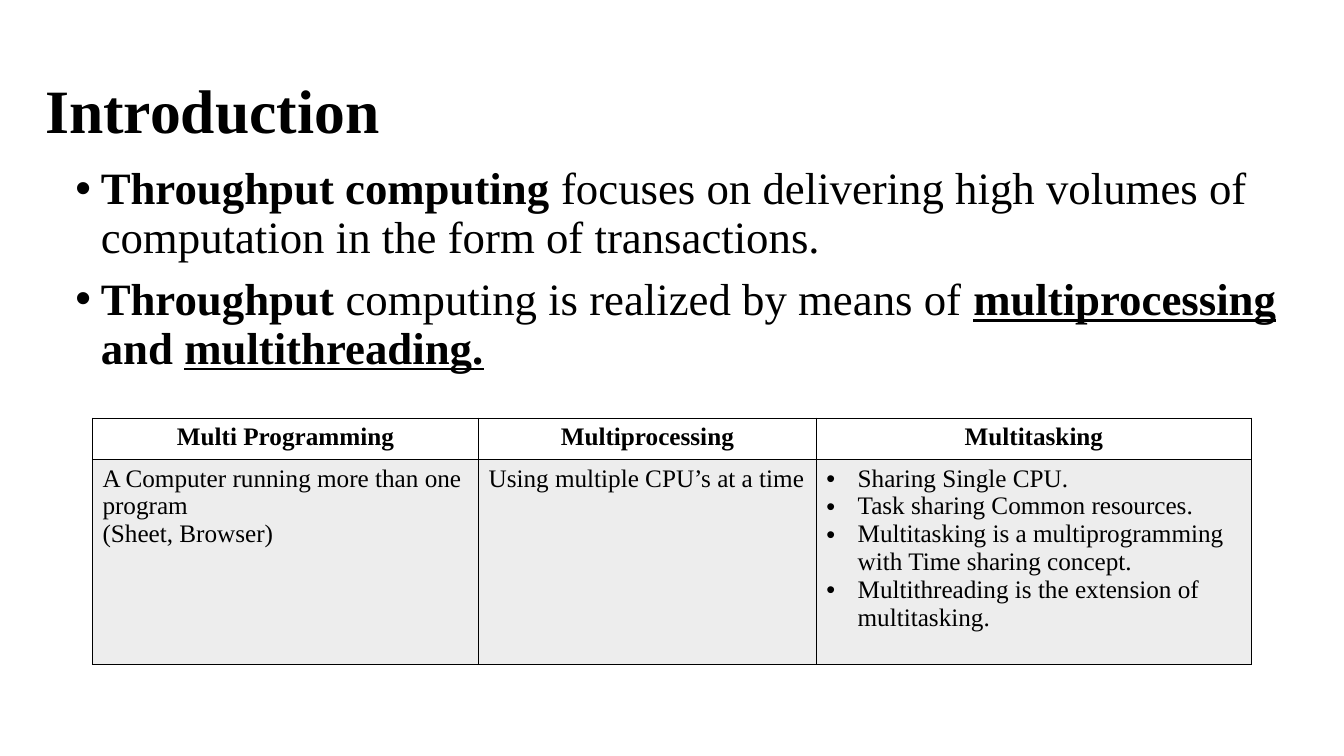
from dataclasses import dataclass

import pptx
import pptx.dml.color
import pptx.enum.text
import pptx.oxml.ns
import pptx.slide
import pptx.table
import pptx.text.text
import pptx.util
from lxml import etree

Cm = pptx.util.Cm
Pt = pptx.util.Pt
ALIGN = pptx.enum.text.PP_ALIGN
ANCHOR = pptx.enum.text.MSO_ANCHOR
qualified = pptx.oxml.ns.qn

BLACK = pptx.dml.color.RGBColor(0x00, 0x00, 0x00)
GRAY = pptx.dml.color.RGBColor(0xA5, 0xA5, 0xA5)
WHITE = pptx.dml.color.RGBColor(0xFF, 0xFF, 0xFF)
FONT = "Times New Roman"


@dataclass(frozen=True)
class Span:
    text: str
    bold: bool = False
    underline: bool = False


@dataclass(frozen=True)
class Column:
    heading: str
    width: float
    lines: tuple[str, ...]
    bullet_indent: float = 0


POINTS = [
    [
        Span("Throughput computing ", bold=True),
        Span("focuses on delivering high volumes of computation in the form of transactions."),
    ],
    [
        Span("Throughput ", bold=True),
        Span("computing is realized by means of "),
        Span("multiprocessing", bold=True, underline=True),
        Span(" and ", bold=True),
        Span("multithreading.", bold=True, underline=True),
    ],
]

COLUMNS = [
    Column(
        "Multi Programming",
        9.73,
        ("A Computer running more than one program", "(Sheet, Browser)"),
    ),
    Column("Multiprocessing", 8.51, ("Using multiple CPU’s at a time",)),
    Column(
        "Multitasking",
        10.97,
        (
            "Sharing Single CPU.",
            "Task sharing Common resources.",
            "Multitasking is a multiprogramming with Time sharing concept.",
            "Multithreading is the extension of multitasking.",
        ),
        bullet_indent=0.79,
    ),
]
ROW_HEIGHTS = (1.04, 5.16)


def add_bullet(para: pptx.text.text._Paragraph, indent: float) -> None:
    properties = para._p.get_or_add_pPr()
    properties.set("marL", str(Cm(indent)))
    properties.set("indent", str(-Cm(indent)))
    etree.SubElement(properties, qualified("a:buFont"), typeface="Arial")
    etree.SubElement(properties, qualified("a:buChar"), char="•")


def write_text(
    frame: pptx.text.text.TextFrame,
    paragraphs: list[list[Span]],
    *,
    size: float,
    align: ALIGN = ALIGN.LEFT,
    line_spacing: float = 1.0,
    space_before: float = 0,
    bullet_indent: float = 0,
) -> None:
    frame.word_wrap = True
    for index, spans in enumerate(paragraphs):
        para = frame.add_paragraph() if index else frame.paragraphs[0]
        if bullet_indent:
            add_bullet(para, bullet_indent)
        para.alignment = align
        para.line_spacing = line_spacing
        para.space_before = Pt(space_before if index else 0)
        for span in spans:
            run = para.add_run()
            run.text = span.text
            run.font.name = FONT
            run.font.size = Pt(size)
            run.font.color.rgb = BLACK
            run.font.bold = span.bold
            run.font.underline = span.underline


def add_box(
    page: pptx.slide.Slide, left: float, top: float, width: float, height: float
) -> pptx.text.text.TextFrame:
    return page.shapes.add_textbox(Cm(left), Cm(top), Cm(width), Cm(height)).text_frame


def outline_cell(cell: pptx.table._Cell) -> None:
    properties = cell._tc.get_or_add_tcPr()
    for side in ("a:lnL", "a:lnR", "a:lnT", "a:lnB"):
        line = etree.SubElement(properties, qualified(side), w=str(Pt(1)))
        fill = etree.SubElement(line, qualified("a:solidFill"))
        etree.SubElement(fill, qualified("a:srgbClr"), val=str(BLACK))


def fill_cell(
    cell: pptx.table._Cell, color: pptx.dml.color.RGBColor, opacity: int = 100
) -> None:
    """Fill a cell; opacity is in percent."""
    cell.fill.solid()
    cell.fill.fore_color.rgb = color
    if opacity < 100:
        value = cell._tc.tcPr.find(qualified("a:solidFill")).find(qualified("a:srgbClr"))
        etree.SubElement(value, qualified("a:alpha"), val=str(opacity * 1000))


def add_comparison(page: pptx.slide.Slide) -> None:
    width = sum(column.width for column in COLUMNS)
    table = page.shapes.add_table(
        len(ROW_HEIGHTS), len(COLUMNS), Cm(2.33), Cm(10.54), Cm(width), Cm(sum(ROW_HEIGHTS))
    ).table
    table.first_row = False
    table.horz_banding = False
    for row, height in zip(table.rows, ROW_HEIGHTS):
        row.height = Cm(height)
    for index, column in enumerate(COLUMNS):
        table.columns[index].width = Cm(column.width)
        heading, body = table.cell(0, index), table.cell(1, index)
        outline_cell(heading)
        outline_cell(body)
        fill_cell(heading, WHITE)
        fill_cell(body, GRAY, opacity=20)
        write_text(
            heading.text_frame, [[Span(column.heading, bold=True)]], size=18, align=ALIGN.CENTER
        )
        write_text(
            body.text_frame,
            [[Span(line)] for line in column.lines],
            size=18,
            bullet_indent=column.bullet_indent,
        )


def main() -> None:
    deck = pptx.Presentation()
    deck.slide_width, deck.slide_height = Cm(33.87), Cm(19.05)
    page = deck.slides.add_slide(deck.slide_layouts[6])

    title = add_box(page, 0.89, 1.02, 30.66, 3.68)
    title.vertical_anchor = ANCHOR.MIDDLE
    write_text(title, [[Span("Introduction", bold=True)]], size=44, line_spacing=0.9)

    points = add_box(page, 1.65, 4.06, 31.34, 12.95)
    write_text(
        points, POINTS, size=32, line_spacing=0.9, space_before=10, bullet_indent=0.64
    )

    add_comparison(page)
    deck.save("out.pptx")


if __name__ == "__main__":
    main()
